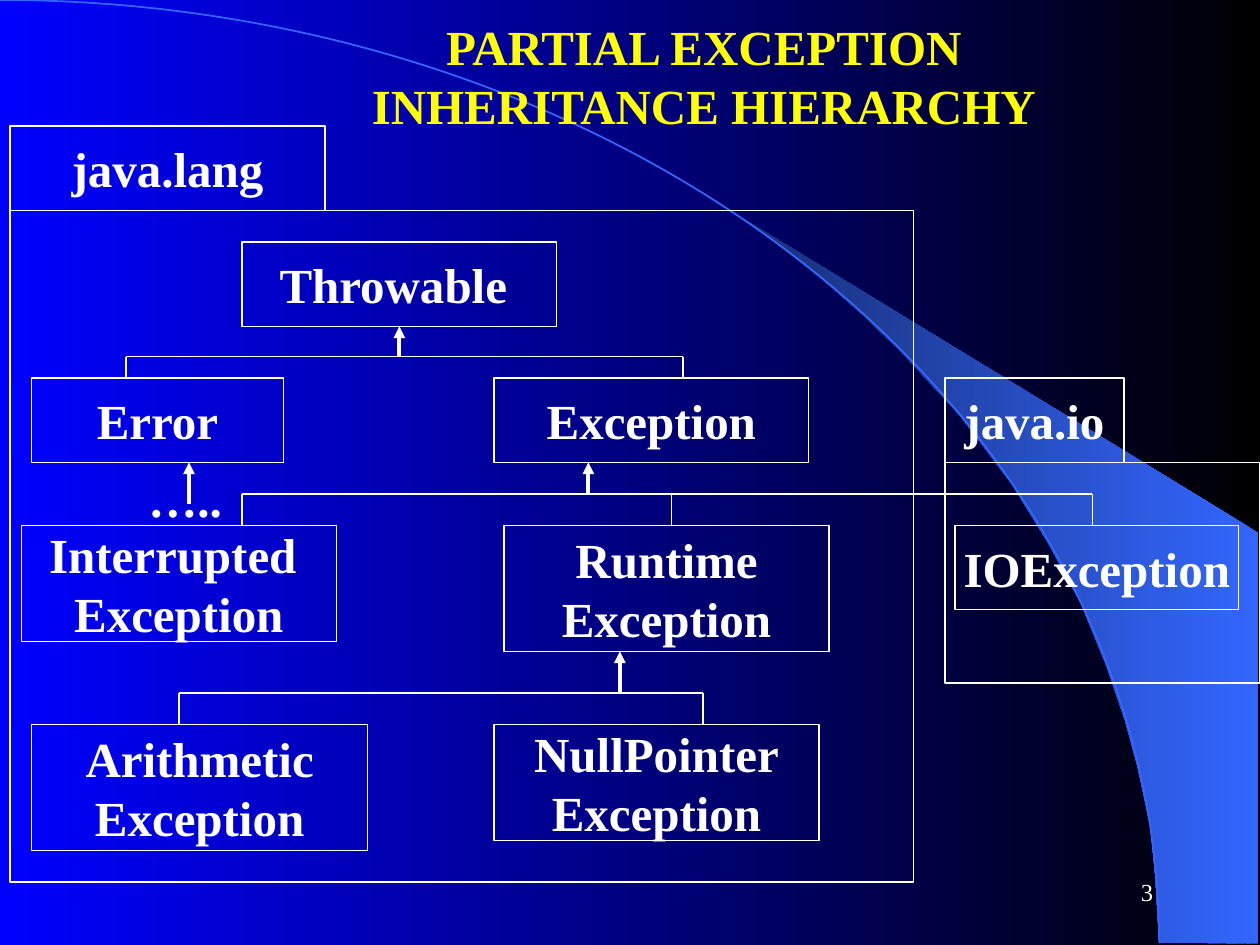
from lxml.etree import SubElement
from pptx import Presentation
from pptx.dml.color import RGBColor
from pptx.enum.shapes import MSO_CONNECTOR, MSO_SHAPE
from pptx.enum.text import MSO_ANCHOR, PP_ALIGN
from pptx.oxml.ns import qn
from pptx.util import Inches, Pt

THEME = {
    "font": "Times New Roman",
    "text": "FFFFFF", "title": "FFFF00", "line": "FFFFFF", "arc": "3366FF",
    "background": ("000000", "0000FF"), "beam": ("3366FF", "172F75"),
    "body_size": 28, "number_size": 14,
    "thin": 0.75, "arc_width": 1, "thick": 2.25,
}

# Left, top, width, height
PACKAGES = [(0.08, 1.67, 7.17, 5.33), (7.5, 3.67, 2.5, 1.75)]
ARC = (-9.2, 0, 18.4, 14.97)
BEAM = [
    (9.2, 7.48), (9.99, 7.49), (9.99, 4.23), (5.89, 1.73), (6.24, 1.99),
    (6.53, 2.22), (6.85, 2.5), (7.16, 2.8), (7.62, 3.3), (8.03, 3.84),
    (8.32, 4.31), (8.58, 4.79), (8.78, 5.28), (8.93, 5.72), (9.03, 6.09),
    (9.13, 6.56), (9.17, 6.96),
]
BOXES = {
    "java.lang": (["java.lang"], (0.08, 1, 2.5, 0.67)),
    "java.io": (["java.io"], (7.5, 3, 1.42, 0.67)),
    "Throwable": (["Throwable "], (1.92, 1.92, 2.5, 0.67)),
    "Error": (["Error"], (0.25, 3, 2, 0.67)),
    "Exception": (["Exception"], (3.92, 3, 2.5, 0.67)),
    "Interrupted": (["Interrupted ", "Exception"], (0.17, 4.17, 2.5, 0.92)),
    "Runtime": (["Runtime", "Exception"], (4, 4.17, 2.58, 1)),
    "IO": (["IOException"], (7.58, 4.17, 2.25, 0.67)),
    "Arithmetic": (["Arithmetic", "Exception"], (0.25, 5.75, 2.67, 1)),
    "NullPointer": (["NullPointer", "Exception"], (3.92, 5.75, 2.58, 0.92)),
}
# Parent, arrow x, y where the arrow starts, x of the drop to each child
BRANCHES = [
    ("Throwable", 3.17, 2.83, {"Error": 1, "Exception": 5.42}),
    ("Error", 1.5, 4, {}),
    ("Exception", 4.67, 3.92, {"Interrupted": 1.92, "Runtime": 5.33, "IO": 8.67}),
    ("Runtime", 4.92, 5.5, {"Arithmetic": 1.42, "NullPointer": 5.58}),
]
LABELS = [
    ("…..", (1.08, 3.67, 0.92, 0.57), {}),
    ("PARTIAL EXCEPTION INHERITANCE HIERARCHY", (2.5, 0.08, 6.17, 1.04),
     {"align": PP_ALIGN.CENTER, "color": "title"}),
    ("3", (7.17, 6.83, 2.08, 0.5),
     {"align": PP_ALIGN.RIGHT, "size": "number_size", "bold": False,
      "anchor": MSO_ANCHOR.MIDDLE}),
]


def rgb(name):
    return RGBColor.from_string(THEME[name])


def fill_gradient(fill, name):
    fill.gradient()
    fill.gradient_angle = 180
    for stop, color in zip(fill.gradient_stops, THEME[name]):
        stop.color.rgb = RGBColor.from_string(color)


def set_line(sp, color="line", width="thin"):
    sp.line.color.rgb = rgb(color)
    sp.line.width = Pt(THEME[width])


def write(sp, lines, align=PP_ALIGN.LEFT, color="text", size="body_size",
          bold=True, anchor=MSO_ANCHOR.TOP, wrap=True):
    tf = sp.text_frame
    tf.word_wrap = wrap
    tf.vertical_anchor = anchor
    font = {"name": THEME["font"], "size": Pt(THEME[size]), "bold": bold}
    for i, line in enumerate(lines):
        p = tf.add_paragraph() if i else tf.paragraphs[0]
        p.alignment = align
        r = p.add_run()
        r.text = line
        for key, value in font.items():
            setattr(r.font, key, value)
        r.font.color.rgb = rgb(color)


def add_outline(shapes, kind, place):
    sp = shapes.add_shape(kind, *map(Inches, place))
    sp.shadow.inherit = False
    sp.fill.background()
    set_line(sp)
    return sp


def add_line(shapes, start, end, width="thin"):
    line = shapes.add_connector(MSO_CONNECTOR.STRAIGHT, *map(Inches, start + end))
    set_line(line, width=width)
    SubElement(line._element.spPr, qn("a:effectLst"))
    return line


def add_branch(shapes, boxes, parent, x, y, drops):
    """Draw the arrow up to the parent and the bar with drops to its children."""
    left, top, width, height = BOXES[parent][1]
    if drops:
        add_line(shapes, (min(drops.values()), y), (max(drops.values()), y))
    for child, drop_x in drops.items():
        add_line(shapes, (drop_x, y), (drop_x, BOXES[child][1][1]))
    arrow = add_line(shapes, (x, y), (x, top + height), "thick")
    if abs(x - left - width / 2) < 0.01:
        arrow.end_connect(boxes[parent], 2)
    SubElement(arrow.line._get_or_add_ln(), qn("a:tailEnd"), type="triangle")


def main():
    prs = Presentation()
    prs.slide_width, prs.slide_height = Inches(10), Inches(7.5)
    s = prs.slides.add_slide(prs.slide_layouts[6])
    shapes = s.shapes
    fill_gradient(s.background.fill, "background")

    points = [(Inches(x), Inches(y)) for x, y in BEAM]
    builder = shapes.build_freeform(*points[0])
    builder.add_line_segments(points[1:], close=True)
    beam = builder.convert_to_shape()
    beam.shadow.inherit = False
    beam.line.fill.background()
    fill_gradient(beam.fill, "beam")
    set_line(add_outline(shapes, MSO_SHAPE.ARC, ARC), "arc", "arc_width")

    for place in PACKAGES:
        add_outline(shapes, MSO_SHAPE.RECTANGLE, place)
    boxes = {}
    for name, (lines, place) in BOXES.items():
        boxes[name] = add_outline(shapes, MSO_SHAPE.RECTANGLE, place)
        write(boxes[name], lines, align=PP_ALIGN.CENTER,
              anchor=MSO_ANCHOR.MIDDLE, wrap=False)
    for branch in BRANCHES:
        add_branch(shapes, boxes, *branch)
    for text, place, style in LABELS:
        write(shapes.add_textbox(*map(Inches, place)), [text], **style)

    prs.save("out.pptx")


if __name__ == "__main__":
    main()
